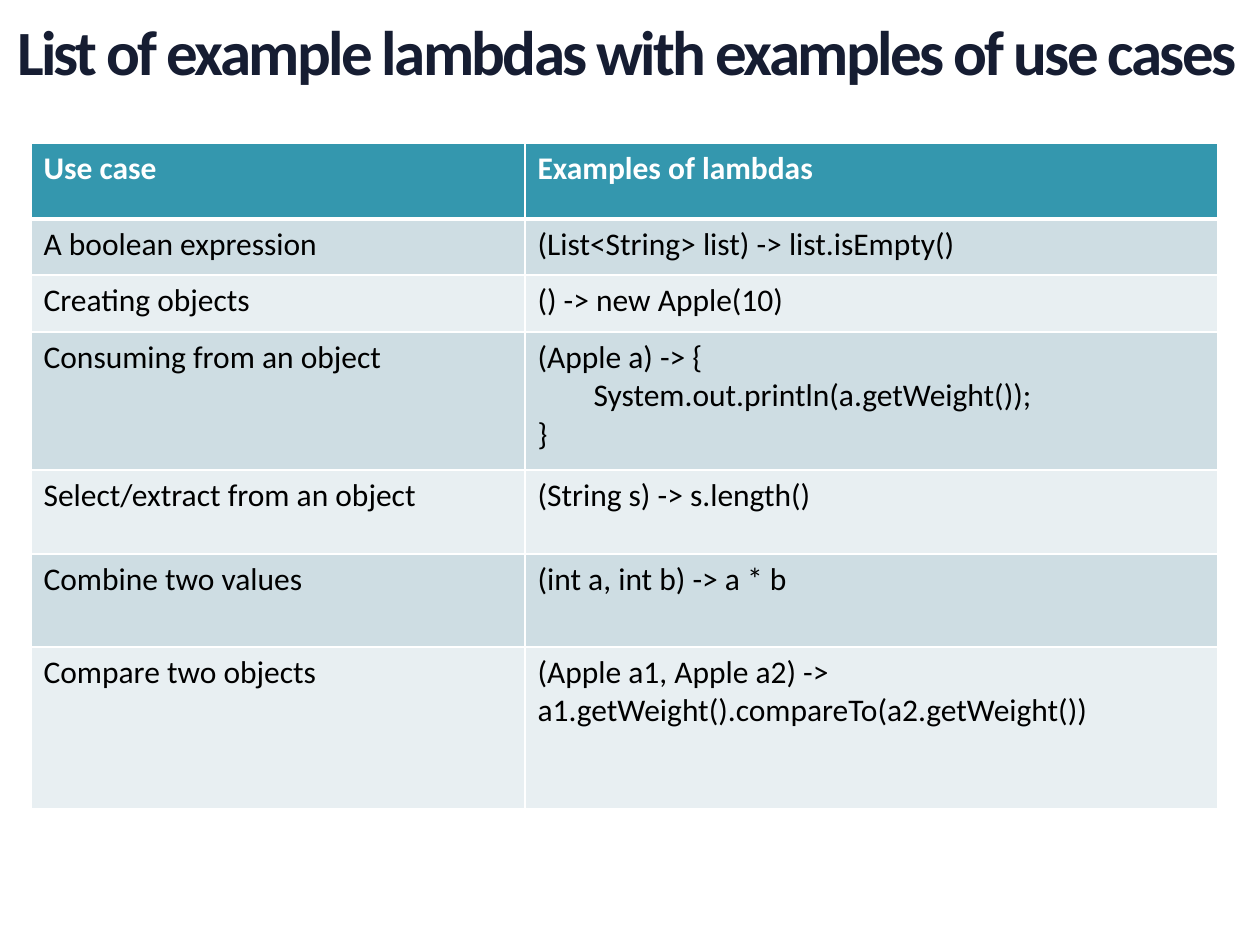
from dataclasses import dataclass

from lxml.etree import SubElement
from pptx import Presentation
from pptx.dml.color import RGBColor
from pptx.enum.text import MSO_ANCHOR
from pptx.oxml import parse_xml
from pptx.oxml.ns import nsdecls
from pptx.util import Emu, Pt

EMU_PER_PX = 914400 / 126
FONT = "Calibri"
COLORS = {
    "title": "161D32",
    "header": "3497AE",
    "odd": "CEDDE3",
    "even": "E8EFF2",
    "white": "FFFFFF",
    "black": "000000",
}


@dataclass(frozen=True)
class Row:
    height: int
    use_case: str
    example: tuple[str, ...]
    indented: int | None = None  # index of the indented code line


COL_WIDTHS = (494, 693)
ROWS = (
    Row(76, "Use case", ("Examples of lambdas",)),
    Row(56, "A boolean expression", ("(List<String> list) -> list.isEmpty()",)),
    Row(57, "Creating objects", ("() -> new Apple(10)",)),
    Row(138, "Consuming from an object",
        ("(Apple a) -> {", "System.out.println(a.getWeight());", "}"), indented=1),
    Row(84, "Select/extract from an object", ("(String s) -> s.length()",)),
    Row(93, "Combine two values", ("(int a, int b) -> a * b",)),
    Row(162, "Compare two objects",
        ("(Apple a1, Apple a2) -> a1.getWeight().compareTo(a2.getWeight())",)),
)


def px(n: int) -> Emu:
    return Emu(round(n * EMU_PER_PX))


def rgb(name: str) -> RGBColor:
    return RGBColor.from_string(COLORS[name])


def write(p, text: str, *, size: int = 18, color: str = "black", bold: bool = False,
          spacing: int = 0, indent: int = 0) -> None:
    """Add a run; spacing is in hundredths of a point, indent in px."""
    r = p.add_run()
    r.text = text
    r.font.name = FONT
    r.font.size = Pt(size)
    r.font.bold = bold
    r.font.color.rgb = rgb(color)
    if spacing:
        r.font._element.set("spc", str(spacing))
    if indent:
        p._p.get_or_add_pPr().set("marL", str(px(indent)))


def set_borders(cell, header: bool) -> None:
    tc_pr = cell._tc.get_or_add_tcPr()
    for i, side in enumerate("LRTB"):
        width = Pt(3 if header and side == "B" else 1)
        ln = parse_xml(f'<a:ln{side} {nsdecls("a")} w="{width}"/>')
        fill = SubElement(ln, f"{{{ln.nsmap['a']}}}solidFill")
        SubElement(fill, f"{{{ln.nsmap['a']}}}srgbClr", val=COLORS["white"])
        tc_pr.insert(i, ln)


def fill_cell(cell, lines: tuple[str, ...], fill: str, indented: int | None = None) -> None:
    header = fill == "header"
    cell.fill.solid()
    cell.fill.fore_color.rgb = rgb(fill)
    set_borders(cell, header)
    tf = cell.text_frame
    for i, line in enumerate(lines):
        p = tf.add_paragraph() if i else tf.paragraphs[0]
        write(p, line, color="white" if header else "black", bold=header,
              indent=56 if i == indented else 0)


def add_title(s, text: str) -> None:
    tf = s.shapes.add_textbox(px(5), px(0), px(1255), px(111)).text_frame
    tf.word_wrap = True
    tf.vertical_anchor = MSO_ANCHOR.MIDDLE
    tf.margin_left = px(12)
    tf.margin_top = tf.margin_right = tf.margin_bottom = 0
    p = tf.paragraphs[0]
    p.line_spacing = 0.9
    write(p, text, size=36, color="title", bold=True, spacing=-150)


def add_lambda_table(s) -> None:
    height = sum(row.height for row in ROWS)
    table = s.shapes.add_table(len(ROWS), len(COL_WIDTHS), px(31), px(143),
                               px(sum(COL_WIDTHS)), px(height)).table
    for column, width in zip(table.columns, COL_WIDTHS):
        column.width = px(width)
    for i, row in enumerate(ROWS):
        table.rows[i].height = px(row.height)
        fill = "header" if i == 0 else "odd" if i % 2 else "even"
        fill_cell(table.cell(i, 0), (row.use_case,), fill)
        fill_cell(table.cell(i, 1), row.example, fill, row.indented)


def main() -> None:
    prs = Presentation()
    prs.slide_width, prs.slide_height = px(1260), px(945)
    s = prs.slides.add_slide(prs.slide_layouts[6])
    add_title(s, "List of example lambdas with examples of use cases")
    add_lambda_table(s)
    prs.save("out.pptx")


if __name__ == "__main__":
    main()
